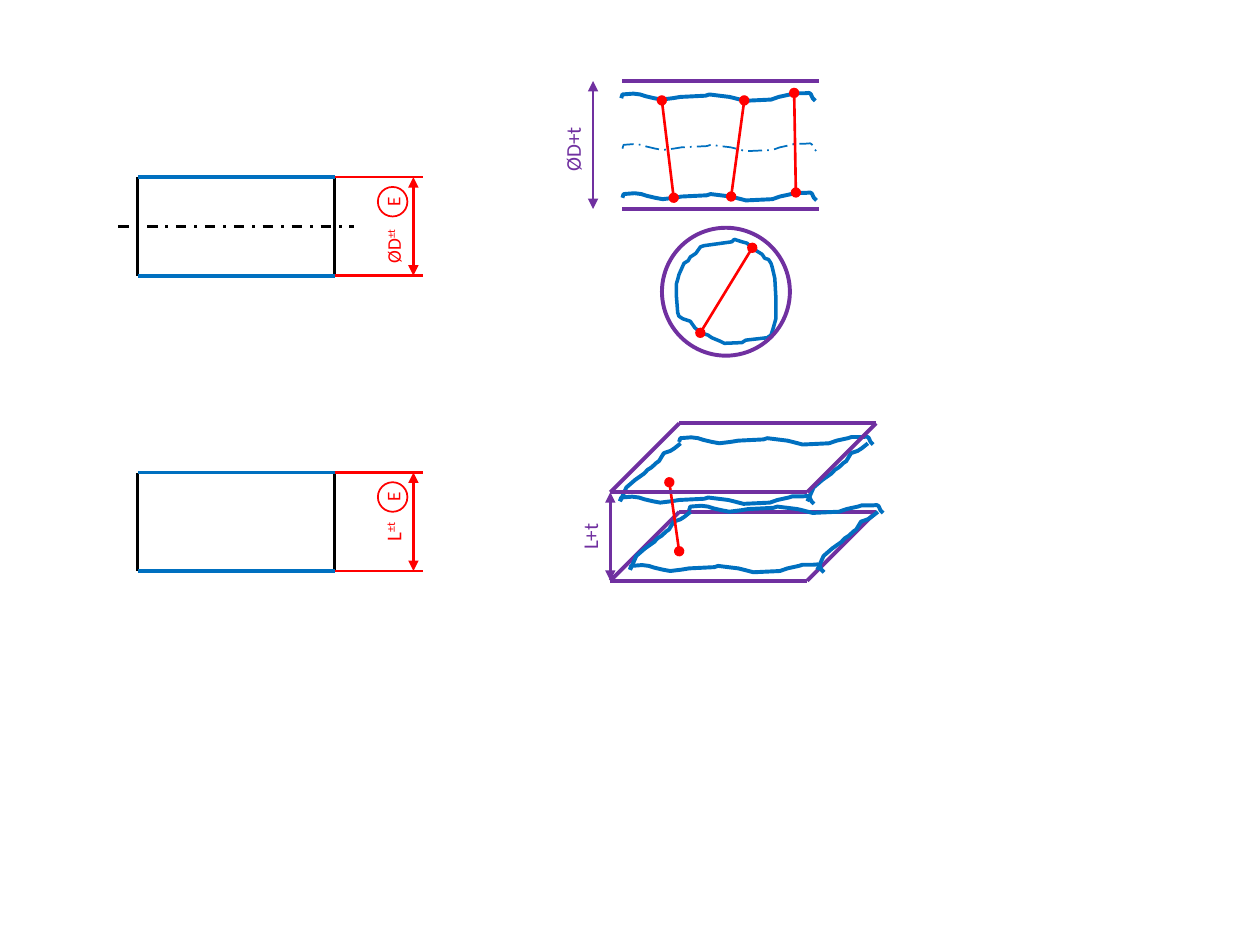
"""Build a slide on size tolerances with the envelope requirement."""
from dataclasses import dataclass
from typing import Optional

import lxml.etree
import pptx
import pptx.dml.color
import pptx.enum.dml
import pptx.enum.shapes
import pptx.enum.text
import pptx.oxml.ns
import pptx.util

Pt = pptx.util.Pt
Point = tuple[float, float]
DASH = pptx.enum.dml.MSO_LINE

RED, BLUE, PURPLE, BLACK = "FF0000", "0070C0", "7030A0", "000000"
SIDE, HEIGHT, DEPTH = 112.5, 56.25, 39.4
PART_LEFT, PLANE_LEFT = 78.75, 348.75

WAVE = [(0, 5), (0.7, 2.9), (7, 2.4), (10.8, 2.9), (14, 3.9), (18.7, 5), (23, 5.8),
        (29.5, 5), (33.8, 4.3), (48.2, 3.6), (50.4, 2.9), (61.9, 4.3), (64.8, 5),
        (70.6, 6.5), (85.7, 5.8), (90, 4.3), (96.5, 2.9), (98.6, 2.2), (104.8, 2.2),
        (107.3, 2), (108.3, 2.6), (109.4, 5), (110.9, 6.5)]
SLOPE = [(0, 33.1), (1.4, 30.2), (3.6, 25.2), (8.6, 20.9), (13.7, 17.3), (15.8, 15.1),
         (18, 13.7), (20.7, 11.2), (22.3, 10.1), (25, 5.6), (28.8, 4.3), (31, 2.9),
         (34.6, 0)]
SECTION = [(31.7, 1.4), (15.8, 3.6), (13.7, 4.3), (11.1, 8), (7.9, 10.1), (6.7, 12.2),
           (4.3, 13.7), (1.4, 20.2), (0.7, 23), (0, 25.2), (0, 33), (0.7, 41.8),
           (1.4, 43.9), (3.6, 45.4), (7.9, 46.8), (10.5, 50.5), (13.7, 53.3),
           (18, 54.7), (20.2, 56.2), (25.2, 58.3), (27.4, 59.4), (37.4, 59),
           (39.6, 57.6), (51.8, 56.2), (54, 54.7), (55.4, 50.4), (56.8, 45.4),
           (56.8, 33), (56.2, 22.3), (54.7, 15.8), (54, 13.7), (52.6, 11.5),
           (50.4, 10.8), (49, 8.6), (43.2, 5), (40.3, 2.2), (37.4, 1.4), (33.1, 0)]


@dataclass(frozen=True)
class Part:
    """A toleranced part drawn in side view."""
    top: float
    symbol: str
    size: float
    label_center: Point
    label_box: Point
    has_axis: bool


PARTS = [
    Part(101.25, "ØD", 11, (225, 140.8), (90, 20.9), True),
    Part(270, "L", 12, (224.6, 303.8), (56.2, 21.6), False),
]


def color(value: str) -> pptx.dml.color.RGBColor:
    """Turn a hex string into a colour."""
    return pptx.dml.color.RGBColor.from_string(value)


def style_line(line, hue: str, width: float, dash=None) -> None:
    """Set the colour, width and dash of a line."""
    line.color.rgb = color(hue)
    line.width = Pt(width)
    if dash is not None:
        line.dash_style = dash


def add_line(shapes, start: Point, end: Point, hue: str, width: float,
             dash=None, ends: Optional[str] = None) -> None:
    """Draw a straight line, with the same marker on both ends if asked."""
    link = shapes.add_connector(pptx.enum.shapes.MSO_CONNECTOR.STRAIGHT,
                                *(Pt(value) for value in (*start, *end)))
    style_line(link.line, hue, width, dash)
    if ends:
        outline = link.line._get_or_add_ln()
        for tag in ("a:headEnd", "a:tailEnd"):
            lxml.etree.SubElement(outline, pptx.oxml.ns.qn(tag), type=ends)
    lxml.etree.SubElement(link._element.spPr, pptx.oxml.ns.qn("a:effectLst"))


def add_outline(shapes, points: list[Point], origin: Point, width: float = 2.25,
                dash=None, closed: bool = False) -> None:
    """Draw an uneven real surface as an unfilled outline."""
    scaled = [(round(x * 100), round(y * 100)) for x, y in points]
    builder = shapes.build_freeform(*scaled[0], scale=Pt(1) / 100)
    builder.add_line_segments(scaled[1:], close=closed)
    outline = builder.convert_to_shape(Pt(origin[0]), Pt(origin[1]))
    outline.shadow.inherit = False
    outline.fill.background()
    style_line(outline.line, BLUE, width, dash)


def add_circle(shapes, center: Point, diameter: float, hue: str, width: float):
    """Draw an unfilled circle."""
    circle = shapes.add_shape(pptx.enum.shapes.MSO_SHAPE.OVAL,
                              Pt(center[0] - diameter / 2), Pt(center[1] - diameter / 2),
                              Pt(diameter), Pt(diameter))
    circle.shadow.inherit = False
    circle.fill.background()
    style_line(circle.line, hue, width)
    return circle


def write_text(frame, text: str, *, size: float, hue: str, raised: str = "") -> None:
    """Write one centred line, with an optional superscript after it."""
    para = frame.paragraphs[0]
    para.alignment = pptx.enum.text.PP_ALIGN.CENTER
    for words in filter(None, (text, raised)):
        span = para.add_run()
        span.text = words
        span.font.name = "Calibri"
        span.font.size = Pt(size)
        span.font.color.rgb = color(hue)
        if words == raised:
            span.font._element.set("baseline", "30000")


def add_label(shapes, text: str, center: Point, extent: Point, **text_format) -> None:
    """Add a text box that reads upwards."""
    width, height = extent
    box = shapes.add_textbox(Pt(center[0] - width / 2), Pt(center[1] - height / 2),
                             Pt(width), Pt(height))
    box.rotation = 270
    box.text_frame.word_wrap = True
    box.text_frame.auto_size = pptx.enum.text.MSO_AUTO_SIZE.SHAPE_TO_FIT_TEXT
    write_text(box.text_frame, text, **text_format)


def add_part(page, part: Part) -> None:
    """Draw a part with its dimension and envelope symbol."""
    shapes = page.shapes.add_group_shape().shapes
    right, bottom = PART_LEFT + SIDE, part.top + HEIGHT
    for x in (PART_LEFT, right):
        add_line(shapes, (x, bottom), (x, part.top), BLACK, 1.5)
    for y in (part.top, bottom):
        add_line(shapes, (PART_LEFT, y), (right, y), BLUE, 2.25)
        add_line(shapes, (right, y), (right + 50.6, y), RED, 1.5)
    if part.has_axis:
        middle = part.top + HEIGHT / 2
        add_line(shapes, (PART_LEFT - 11.25, middle), (right + 11.25, middle),
                 BLACK, 1.5, dash=DASH.DASH_DOT)
    add_line(shapes, (right + 45, bottom), (right + 45, part.top), RED, 1.5, ends="triangle")
    add_label(shapes, part.symbol, part.label_center, part.label_box,
              size=part.size, hue=RED, raised="±t")
    circle = add_circle(shapes, (224.4, part.top + 14), 16.9, RED, 1)
    circle.rotation = 270
    frame = circle.text_frame
    frame.margin_left = frame.margin_right = frame.margin_top = frame.margin_bottom = 0
    frame.vertical_anchor = pptx.enum.text.MSO_ANCHOR.MIDDLE
    write_text(frame, "E", size=11, hue=RED)


def add_plane(page, front: float) -> None:
    """Draw an ideal boundary plane in oblique view."""
    shapes = page.shapes.add_group_shape().shapes
    back, shifted = front - DEPTH, PLANE_LEFT + DEPTH
    add_line(shapes, (PLANE_LEFT, front), (PLANE_LEFT + SIDE, front), PURPLE, 2.25)
    add_line(shapes, (shifted, back), (shifted + SIDE, back), PURPLE, 2.25)
    for offset in (0, SIDE):
        add_line(shapes, (shifted + offset, back), (PLANE_LEFT + offset, front), PURPLE, 2.25)


def add_surface(shapes, left: float, top: float) -> None:
    """Draw an uneven surface by its two waves and two slopes."""
    add_outline(shapes, WAVE, (left, top + 28))
    add_outline(shapes, WAVE, (left + 33.8, top - 5.9))
    for offset in (0, 107):
        add_outline(shapes, SLOPE, (left + offset, top))


def main() -> None:
    """Build the deck and save it."""
    deck = pptx.Presentation()
    deck.slide_width, deck.slide_height = Pt(720), Pt(540)
    page = deck.slides.add_slide(deck.slide_layouts[6])
    shapes = page.shapes

    add_plane(page, 331.9)
    add_outline(shapes, WAVE, (355, 51.1))
    add_outline(shapes, WAVE, (355.7, 108))
    add_outline(shapes, WAVE, (355.7, 79.9), width=1, dash=DASH.LONG_DASH_DOT)
    add_outline(shapes, SECTION, (386.6, 136.8), width=2, closed=True)
    add_surface(shapes, 354.3, 253.4)
    add_surface(shapes, 360, 292.5)
    for start, end in [((385, 113), (378.2, 57.4)), ((417.8, 112.3), (425.3, 57.4)),
                       ((454.8, 110), (453.8, 53.1)), ((400.2, 190.2), (429.9, 141.6)),
                       ((388.1, 315), (382.5, 275.6))]:
        add_line(shapes, start, end, RED, 1.5, ends="oval")

    for part in PARTS:
        add_part(page, part)

    for y in (46.3, 119.4):
        add_line(shapes, (355.7, y), (355.7 + SIDE, y), PURPLE, 2.25)
    add_circle(shapes, (414.8, 166.7), 73.1, PURPLE, 2.25)
    add_line(shapes, (338.9, 119.4), (338.9, 46.3), PURPLE, 1.5, ends="triangle")
    add_label(shapes, "ØD+t", (327.2, 85.5), (78.5, 21.6), size=12, hue=PURPLE)
    add_plane(page, 281.3)
    add_line(shapes, (348.75, 331.9), (348.75, 281.3), PURPLE, 1.5, ends="triangle")
    add_label(shapes, "L+t", (337, 306.7), (50.4, 21.6), size=12, hue=PURPLE)
    deck.save("out.pptx")


if __name__ == "__main__":
    main()
